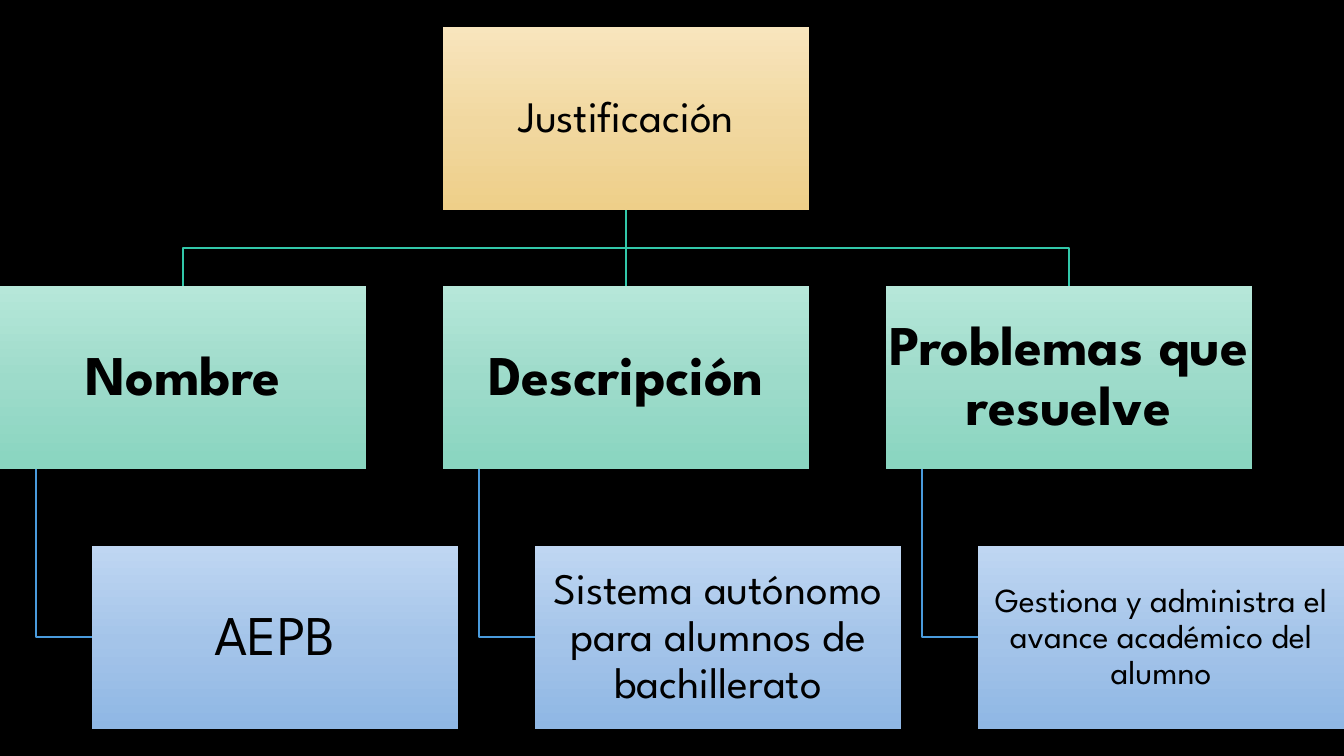
from copy import deepcopy
from dataclasses import dataclass

from pptx import Presentation
from pptx.dml.color import RGBColor
from pptx.enum.shapes import MSO_CONNECTOR, MSO_SHAPE
from pptx.enum.text import MSO_ANCHOR, PP_ALIGN
from pptx.oxml.ns import qn
from pptx.util import Pt

RECT = MSO_SHAPE.RECTANGLE
STRAIGHT = MSO_CONNECTOR.STRAIGHT
MIDDLE = MSO_ANCHOR.MIDDLE
CENTER = PP_ALIGN.CENTER

PX = 12192000 / 1344  # EMU per px
FONT = "League Spartan"
COLORS = {"background": "000000", "text": "000000",
          "branch": "32C7A9", "stem": "4A9BDC"}
GRADIENTS = {"root": ("F8E5BD", "F1D8A0", "EECF89"),
             "topic": ("B6E7D9", "9DDBCA", "89D5C0"),
             "detail": ("BFD6F2", "A4C4E9", "8FB7E4")}
STOPS = (0, 0.52, 1)

# Chart grid, in px
BOX_W, BOX_H = 366, 183
COLUMN_STEP = 443
ROOT_Y, TOPIC_Y, DETAIL_Y = 27, 286, 546
DETAIL_INDENT, STEM_INDENT = 92, 36
BRANCH_Y = 248


@dataclass
class Box:
    text: str
    kind: str
    x: int
    y: int
    size: int
    bold: bool = False


@dataclass
class Column:
    topic: str
    detail: str
    detail_size: int


COLUMNS = [
    Column("Nombre", "AEPB", 40),
    Column("Descripción", "Sistema autónomo para alumnos de bachillerato", 31),
    Column("Problemas que resuelve",
           "Gestiona y administra el avance académico del alumno", 24),
]


def emu(px: float) -> int:
    return round(px * PX)


def rgb(name: str) -> RGBColor:
    return RGBColor.from_string(COLORS[name])


def set_gradient(sp, kind: str) -> None:
    sp.fill.gradient()
    sp.fill.gradient_angle = 270
    stop_list = sp.element.spPr.find(".//" + qn("a:gsLst"))
    stop_list.insert(1, deepcopy(stop_list[0]))
    for stop, position, color in zip(sp.fill.gradient_stops, STOPS, GRADIENTS[kind]):
        stop.position = position
        stop.color.rgb = RGBColor.from_string(color)


def add_box(s, box: Box):
    sp = s.shapes.add_shape(RECT, emu(box.x), emu(box.y), emu(BOX_W), emu(BOX_H))
    sp.shadow.inherit = False
    sp.line.fill.background()
    set_gradient(sp, box.kind)
    tf = sp.text_frame
    tf.text = box.text
    tf.word_wrap = True
    tf.vertical_anchor = MIDDLE
    inset = emu(3 if box.size == 40 else 2)
    tf.margin_left = tf.margin_right = tf.margin_top = tf.margin_bottom = inset
    p = tf.paragraphs[0]
    p.alignment = CENTER
    p.line_spacing = 0.9
    font = p.runs[0].font
    font.name = FONT
    font.size = Pt(box.size)
    font.bold = box.bold
    font.color.rgb = rgb("text")
    return sp


def set_line(line, color: str) -> None:
    line.color.rgb = rgb(color)
    line.width = Pt(1)


def add_bend(s, points: list[tuple[int, int]], color: str) -> None:
    builder = s.shapes.build_freeform(*points[0], scale=PX)
    builder.add_line_segments(points[1:], close=False)
    sp = builder.convert_to_shape()
    sp.shadow.inherit = False
    sp.fill.background()
    set_line(sp.line, color)


def add_link(s, upper, lower, color: str) -> None:
    link = s.shapes.add_connector(STRAIGHT, 0, 0, 0, 0)
    link.begin_connect(upper, 2)
    link.end_connect(lower, 0)
    link.element.spPr.get_or_add_ln()
    set_line(link.line, color)
    link.element.spPr.append(
        link.element.makeelement(qn("a:effectLst"), {}))


def main() -> None:
    prs = Presentation()
    prs.slide_width, prs.slide_height = emu(1344), emu(756)
    s = prs.slides.add_slide(prs.slide_layouts[6])
    s.background.fill.solid()
    s.background.fill.fore_color.rgb = rgb("background")

    # Root box above the middle column
    root_x = COLUMN_STEP
    root_mid = root_x + BOX_W // 2
    root = add_box(s, Box("Justificación", "root", root_x, ROOT_Y, 31))

    for i, column in enumerate(COLUMNS):
        x = i * COLUMN_STEP
        mid = x + BOX_W // 2

        # Topic and its detail
        topic = add_box(s, Box(column.topic, "topic", x, TOPIC_Y, 40, True))
        detail_x = x + DETAIL_INDENT
        add_box(s, Box(column.detail, "detail", detail_x, DETAIL_Y, column.detail_size))

        # Branch from the root
        if x == root_x:
            add_link(s, root, topic, "branch")
        else:
            add_bend(s, [(root_mid, ROOT_Y + BOX_H), (root_mid, BRANCH_Y),
                         (mid, BRANCH_Y), (mid, TOPIC_Y)], "branch")

        # Stem from topic to detail
        stem_x = x + STEM_INDENT
        detail_mid = DETAIL_Y + BOX_H // 2
        add_bend(s, [(stem_x, TOPIC_Y + BOX_H), (stem_x, detail_mid),
                     (detail_x, detail_mid)], "stem")

    prs.save("out.pptx")


if __name__ == "__main__":
    main()
